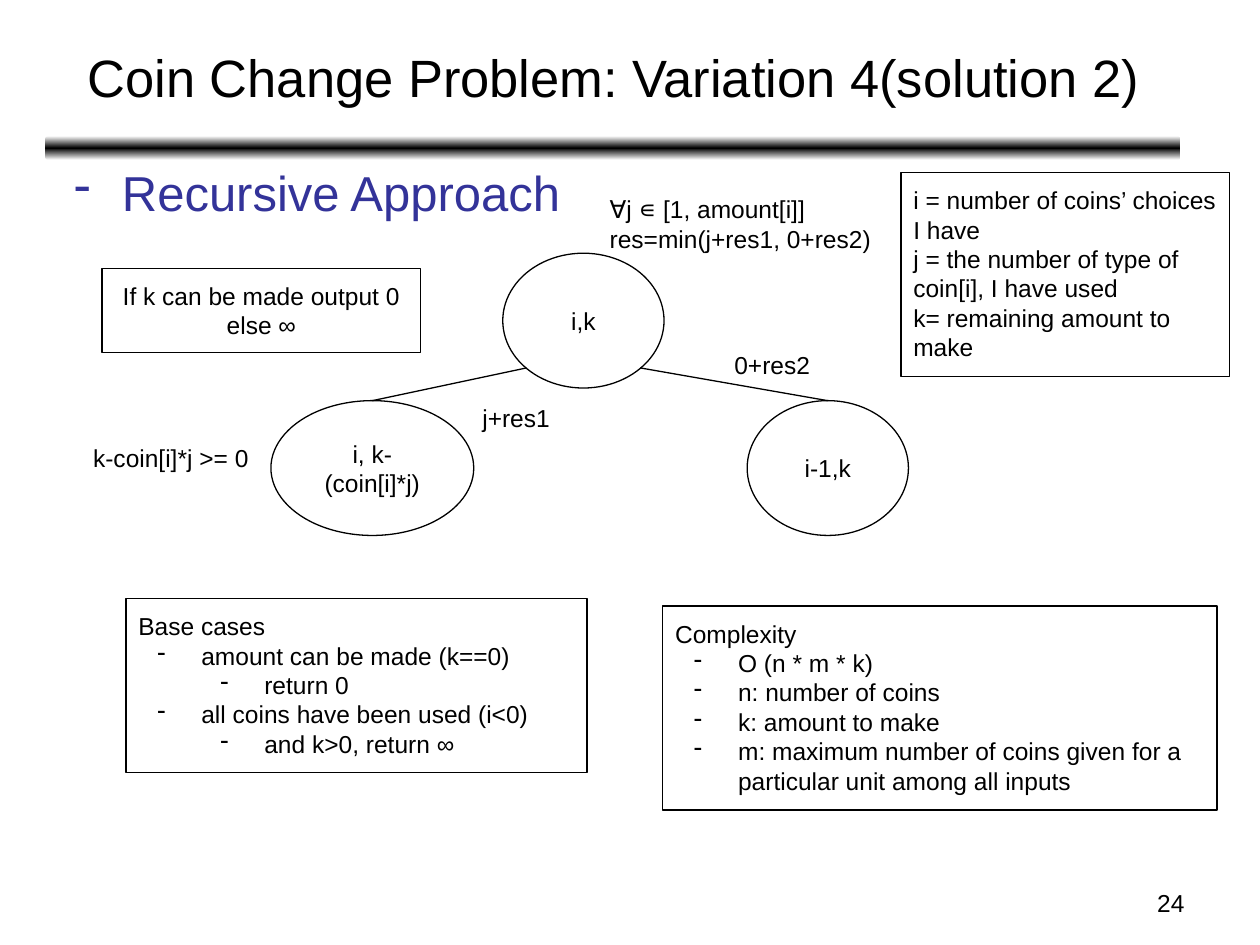
from copy import deepcopy
from math import cos, pi, sin

from pptx import Presentation
from pptx.dml.color import RGBColor
from pptx.enum.shapes import MSO_CONNECTOR, MSO_SHAPE
from pptx.enum.text import MSO_ANCHOR, MSO_AUTO_SIZE, PP_ALIGN
from pptx.oxml.ns import qn
from pptx.util import Pt
from lxml import etree

PX = 9144  # 100 px to the inch
FONT = "Arial"
COLORS = {"ink": "000000", "paper": "FFFFFF", "heading": "333399"}
LEFT, CENTER, RIGHT = PP_ALIGN.LEFT, PP_ALIGN.CENTER, PP_ALIGN.RIGHT
TOP, MIDDLE = MSO_ANCHOR.TOP, MSO_ANCHOR.MIDDLE

# Content: boxes are (left, top, width, height); lines are (level, text)
TITLE = "Coin Change Problem: Variation 4(solution 2)"
HEADING = "Recursive Approach"
PAGE_NUMBER = "24"
NODES = {
    "root": ((399, 201, 128, 107), "i,k"),
    "use": ((215, 318, 161, 107), "i, k-(coin[i]*j)"),
    "skip": ((593, 318, 128, 107), "i-1,k"),
}
BRANCHES = [("use", 3 * pi / 4), ("skip", pi / 4)]  # child, angle on the root
LABELS = [
    ((373, 310, 93, 44), "j+res1"),
    ((573, 268, 101, 44), "0+res2"),
    ((474, 168, 261, 44), "res=min(j+res1, 0+res2)"),
    ((64, 342, 161, 44), "k-coin[i]*j >= 0"),
    ((474, 144, 190, 44), "∀j ∊ [1, amount[i]]"),
]
NOTES = [
    ((526, 481, 440, 162), LEFT, [
        (0, "Complexity"),
        (1, "O (n * m * k)"),
        (1, "n: number of coins"),
        (1, "k: amount to make"),
        (1, "m: maximum number of coins given for a particular unit among all inputs"),
    ]),
    ((715, 137, 261, 162), LEFT, [
        (0, "i = number of coins’ choices I have"),
        (0, "j = the number of type of coin[i], I have used"),
        (0, "k= remaining amount to make"),
    ]),
    ((100, 475, 366, 138), LEFT, [
        (0, "Base cases"),
        (1, "amount can be made (k==0)"),
        (2, "return 0"),
        (1, "all coins have been used (i<0)"),
        (2, "and k>0, return ∞"),
    ]),
    ((81, 213, 253, 67), CENTER, [
        (0, "If k can be made output 0"),
        (0, "else ∞"),
    ]),
]


def color(name):
    return RGBColor.from_string(COLORS[name])


def emu(box):
    return [value * PX for value in box]


def add_dash(paragraph, level, hanging, color_name):
    props = paragraph._p.get_or_add_pPr()
    props.set("marL", str(level * 50 * PX))
    props.set("indent", str(-hanging * PX))
    bullet_color = etree.SubElement(props, qn("a:buClr"))
    etree.SubElement(bullet_color, qn("a:srgbClr"), val=COLORS[color_name])
    etree.SubElement(props, qn("a:buChar"), char="-")


def write(shape, lines, size=14, ink="ink", align=LEFT, anchor=TOP,
          inset=10, hanging=35):
    frame = shape.text_frame
    frame.word_wrap = True
    frame.auto_size = MSO_AUTO_SIZE.NONE
    frame.vertical_anchor = anchor
    frame.margin_left = frame.margin_right = 10 * PX
    frame.margin_top = frame.margin_bottom = inset * PX
    for index, (level, text) in enumerate(lines):
        paragraph = frame.add_paragraph() if index else frame.paragraphs[0]
        paragraph.text = text
        paragraph.alignment = align
        if level:
            paragraph.level = level - 1
            add_dash(paragraph, level, hanging, ink)
        paragraph.font.name = FONT
        paragraph.font.size = Pt(size)
        paragraph.font.color.rgb = color(ink)


def add_outlined(kind, box, fill=None):
    shape = page.shapes.add_shape(kind, *emu(box))
    shape.shadow.inherit = False
    if fill:
        shape.fill.solid()
        shape.fill.fore_color.rgb = color(fill)
    else:
        shape.fill.background()
    shape.line.color.rgb = color("ink")
    shape.line.width = Pt(0.75)
    return shape


def add_text(box, lines, **style):
    write(page.shapes.add_textbox(*emu(box)), lines, **style)


deck = Presentation()
deck.slide_width, deck.slide_height = emu((1000, 750))
page = deck.slides.add_slide(deck.slide_layouts[5])

# Rule under the title, fading from black at its middle
rule = page.shapes.add_shape(MSO_SHAPE.ROUNDED_RECTANGLE, *emu((36, 108, 901, 19)))
rule.shadow.inherit = False
rule.line.fill.background()
rule.fill.gradient()
rule.fill.gradient_angle = 90
first_stop = rule.fill.gradient_stops[0]._gs
first_stop.addnext(deepcopy(first_stop))
for stop, position, name in zip(rule.fill.gradient_stops, (0, 0.5, 1),
                                ("paper", "ink", "paper")):
    stop.position = position
    stop.color.rgb = color(name)

# Title, heading and page number
title = page.shapes.title
title.left, title.top, title.width, title.height = emu((37, 11, 900, 99))
write(title, [(0, TITLE)], size=30, align=CENTER, anchor=MIDDLE, inset=5)
add_text((37, 124, 900, 60), [(1, HEADING)], size=28, ink="heading",
         inset=5, hanging=38)
add_text((717, 700, 233, 35), [(0, PAGE_NUMBER)], align=RIGHT, inset=5)

# Recursion tree
nodes = {}
for name, (box, text) in NODES.items():
    nodes[name] = add_outlined(MSO_SHAPE.OVAL, box, "paper")
    write(nodes[name], [(0, text)], align=CENTER, anchor=MIDDLE)

left, top, width, height = NODES["root"][0]
for child, angle in BRANCHES:
    start_x = round(left + width / 2 * (1 + cos(angle)))
    start_y = round(top + height / 2 * (1 + sin(angle)))
    branch = page.shapes.add_connector(
        MSO_CONNECTOR.STRAIGHT, *emu((start_x, start_y, start_x, start_y)))
    branch.end_connect(nodes[child], 0)
    branch.line.color.rgb = color("ink")
    branch.line.width = Pt(0.75)
    etree.SubElement(branch._element.spPr, qn("a:effectLst"))

for box, text in LABELS:
    add_text(box, [(0, text)])

# Framed notes
for box, align, lines in NOTES:
    write(add_outlined(MSO_SHAPE.RECTANGLE, box), lines, align=align)

deck.save("out.pptx")
